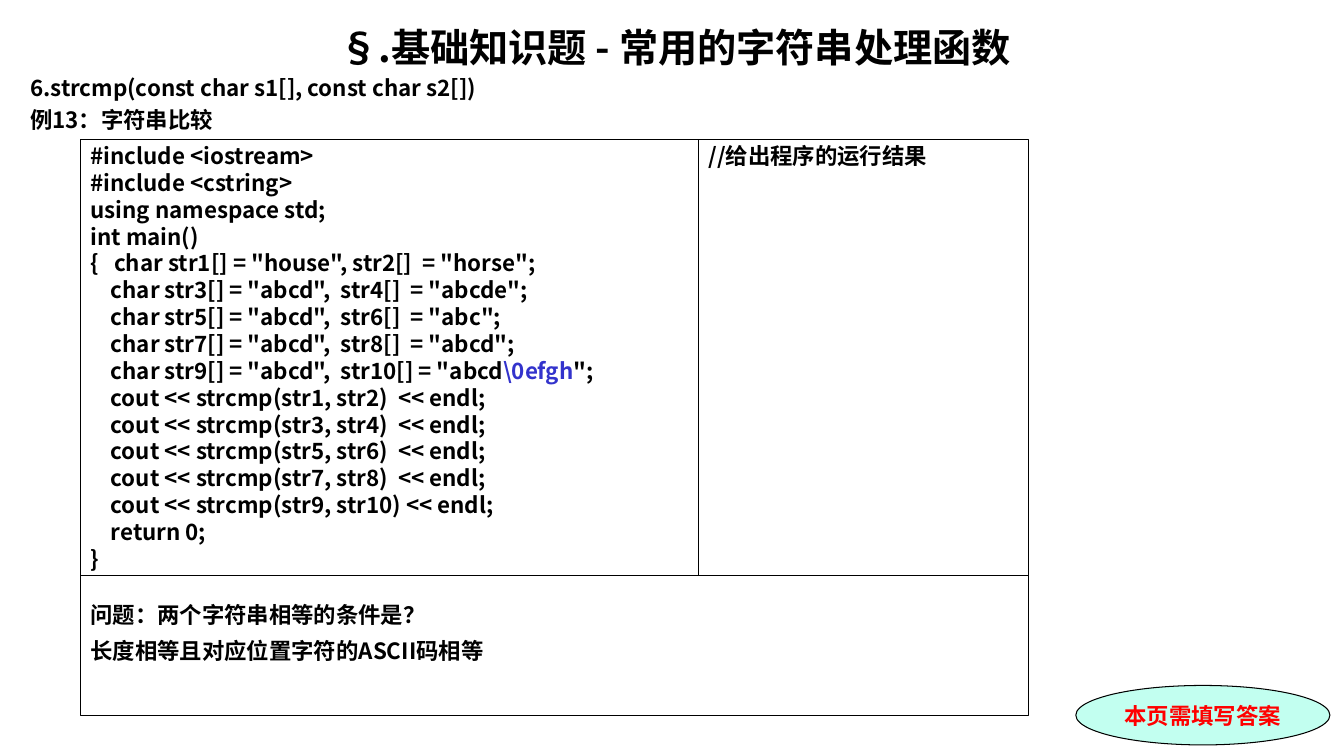
from pptx import Presentation
from pptx.dml.color import RGBColor
from pptx.enum.shapes import MSO_SHAPE
from pptx.enum.text import MSO_ANCHOR, PP_ALIGN
from pptx.oxml.ns import qn
from pptx.util import Inches, Pt

COLORS = {"ink": "000000", "escape": "3333CC", "answer": "FF0000", "mint": "C2FFF0"}
SANS = "Noto Sans CJK SC"
SERIF = "Times New Roman"

DECLARATIONS = [
    '{   char str1[] = "house", str2[]  = "horse";',
    '    char str3[] = "abcd",  str4[]  = "abcde";',
    '    char str5[] = "abcd",  str6[]  = "abc";',
    '    char str7[] = "abcd",  str8[]  = "abcd";',
]
COMPARISONS = [
    f"    cout << strcmp(str{n}, {f'str{n + 1})':<6} << endl;" for n in range(1, 10, 2)
]
PROGRAM = [
    [(line, "ink")]
    for line in ["#include <iostream>", "#include <cstring>", "using namespace std;",
                 "int main()", *DECLARATIONS]
] + [
    [('    char str9[] = "abcd",  str10[] = "abcd', "ink"), ("\\0efgh", "escape"), ('";', "ink")]
] + [[(line, "ink")] for line in [*COMPARISONS, "    return 0;", "}"]]


def add_run(paragraph, text, color, size=16, font=SANS):
    run = paragraph.add_run()
    run.text = text
    run.font.size = Pt(size)
    run.font.bold = True
    run.font.name = font
    run.font.color.rgb = RGBColor.from_string(COLORS[color])
    east_asian = run.font._element.makeelement(qn("a:ea"), {"typeface": SANS})
    run.font._element.find(qn("a:latin")).addnext(east_asian)


def write_lines(frame, lines, gap=0, align=PP_ALIGN.LEFT, size=16):
    for index, line in enumerate(lines):
        paragraph = frame.paragraphs[0] if index == 0 else frame.add_paragraph()
        paragraph.alignment = align
        paragraph.line_spacing = Pt(size * 1.2)
        paragraph.space_before = Pt(gap if index else 0)
        for text, color in line:
            add_run(paragraph, text, color, size)


def add_heading(slide, left, top, width, height):
    box = slide.shapes.add_textbox(Inches(left), Inches(top), Inches(width), Inches(height))
    frame = box.text_frame
    frame.word_wrap = True
    write_lines(frame, [[("§.基础知识题 - 常用的字符串处理函数", "ink")]],
                align=PP_ALIGN.CENTER, size=28)
    for text in ["6.strcmp(const char s1[], const char s2[])", "例13：字符串比较"]:
        paragraph = frame.add_paragraph()
        paragraph.alignment = PP_ALIGN.JUSTIFY
        paragraph.line_spacing = Pt(19.2)
        paragraph.space_before = Pt(3.2)
        add_run(paragraph, text, "ink")


def add_outline(slide, preset, left, top, width, height):
    outline = slide.shapes.add_shape(
        preset, Inches(left), Inches(top), Inches(width), Inches(height))
    outline.shadow.inherit = False
    outline.fill.background()
    outline.line.color.rgb = RGBColor.from_string(COLORS["ink"])
    outline.line.width = Pt(0.75)
    return outline


def add_panel(slide, left, top, width, height, lines, inset=0.03, gap=0):
    panel = add_outline(slide, MSO_SHAPE.RECTANGLE, left, top, width, height)
    frame = panel.text_frame
    frame.word_wrap = False
    frame.vertical_anchor = MSO_ANCHOR.TOP
    frame.margin_top = Inches(inset)
    write_lines(frame, lines, gap)


def add_exercise(slide, left, top, width, height):
    program_width, program_height = 6.13, 4.33
    add_panel(slide, left, top, program_width, program_height, PROGRAM)
    add_panel(slide, left, top + program_height, width, height - program_height,
              [[("问题：两个字符串相等的条件是？", "ink")],
               [("长度相等且对应位置字符的ASCII码相等", "ink")]],
              inset=0.25, gap=6.7)
    add_panel(slide, left + program_width, top, width - program_width, program_height,
              [[("//给出程序的运行结果", "ink")]])


def add_reminder(slide, left, top, width, height):
    reminder = add_outline(slide, MSO_SHAPE.OVAL, left, top, width, height)
    reminder.fill.solid()
    reminder.fill.fore_color.rgb = RGBColor.from_string(COLORS["mint"])
    frame = reminder.text_frame
    frame.word_wrap = False
    frame.vertical_anchor = MSO_ANCHOR.MIDDLE
    paragraph = frame.paragraphs[0]
    paragraph.alignment = PP_ALIGN.CENTER
    add_run(paragraph, "本页需填写答案", "answer", font=SERIF)


def main():
    presentation = Presentation()
    presentation.slide_width = Inches(13.33)
    presentation.slide_height = Inches(7.5)
    slide = presentation.slides.add_slide(presentation.slide_layouts[6])
    add_heading(slide, 0.2, 0.18, 12.99, 7.09)
    add_reminder(slide, 10.67, 6.8, 2.52, 0.59)
    add_exercise(slide, 0.8, 1.38, 9.4, 5.72)
    presentation.save("out.pptx")


if __name__ == "__main__":
    main()
